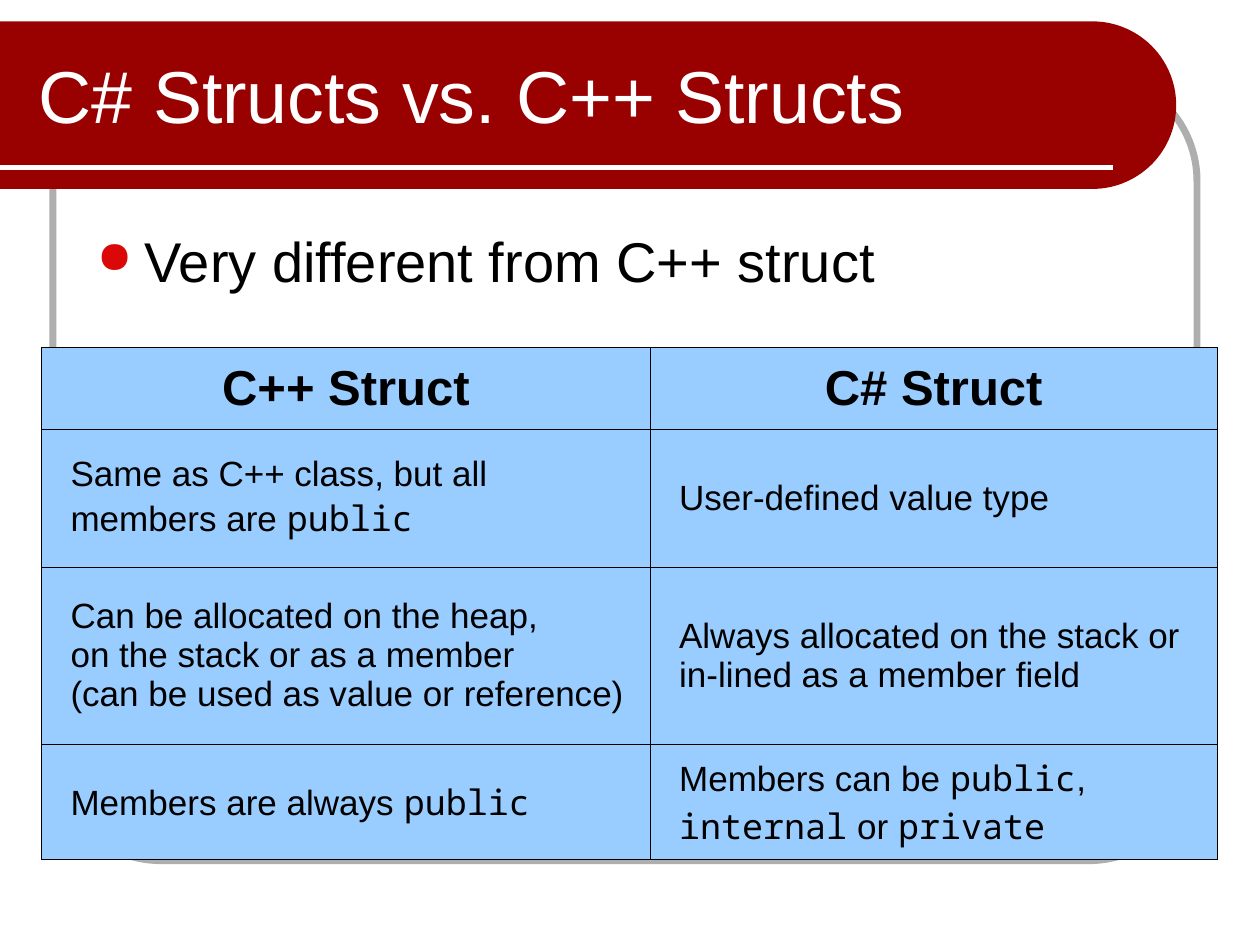
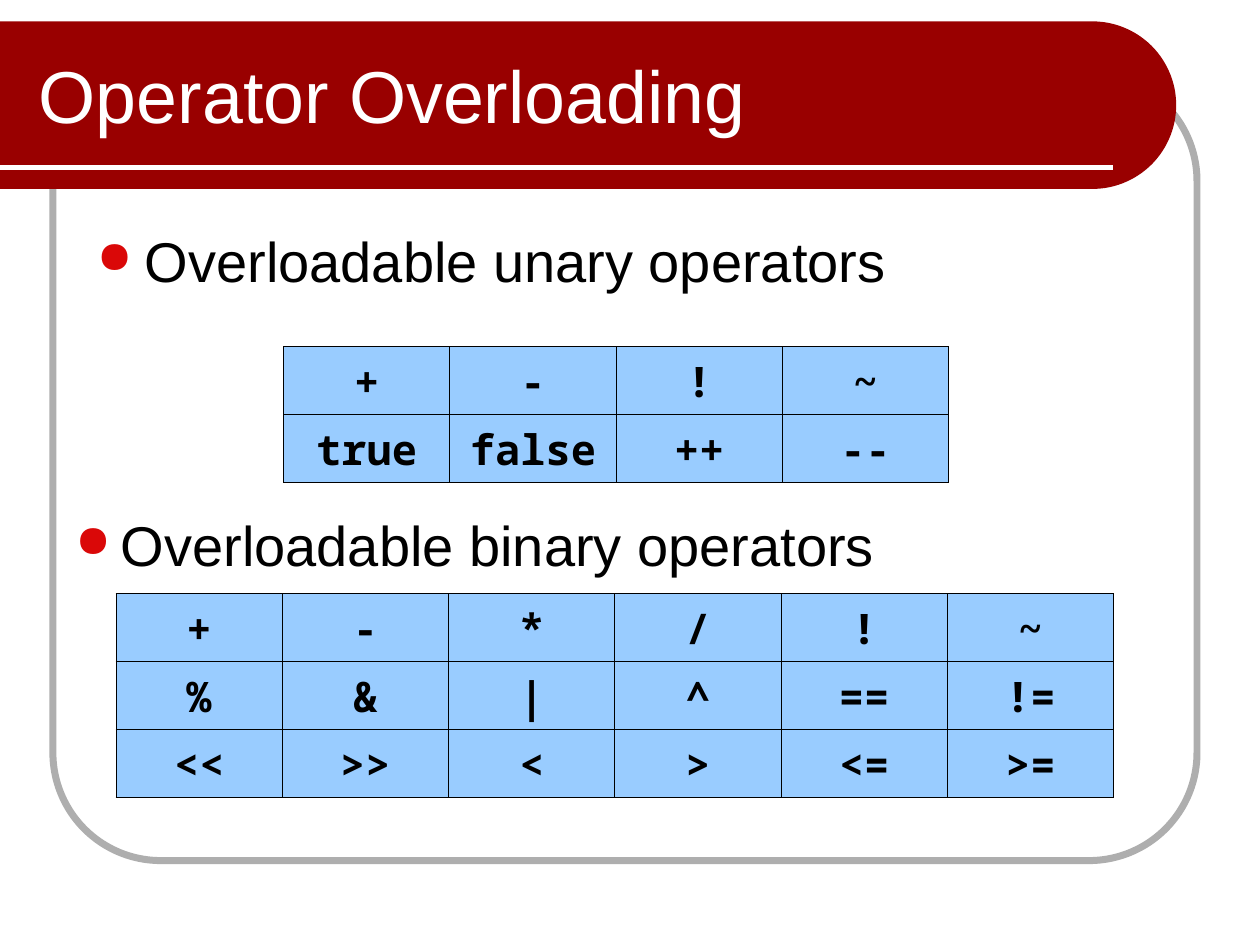
import math
from lxml import etree
from pptx import Presentation, util as u
from pptx.dml.color import RGBColor
from pptx.enum import shapes as es, text as et
from pptx.oxml import ns

HUES = {"band": "990000", "frame": "AEAEAE", "white": "FFFFFF",
        "ink": "000000", "cell": "99CCFF", "dot": "DA0808"}
SANS, MONO = "Arial", "Noto Sans Mono"
IN = u.Inches

# Backticks mark code words.
STRUCTS = [
    ("C++ Struct", "C# Struct"),
    ("Same as C++ class, but all members are `public`",
     "User-defined value type"),
    ("Can be allocated on the heap, \non the stack or as a member \n"
     "(can be used as value or reference)",
     "Always allocated on the stack or \nin-lined as a member field"),
    ("Members are always `public`",
     "Members can be `public`, `internal` or `private`"),
]
UNARY = ["+ - ! ~".split(), "true false ++ --".split()]
BINARY = ["+ - * / ! ~".split(), "% & | ^ == !=".split(),
          "<< >> < > <= >=".split()]

HEAD = dict(size=28, bold=True, center=True, before=7)
BODY = dict(size=20, indent=0.13, before=5)
SIGN = dict(size=24, bold=True, face=MONO, center=True, before=6)
SIDE, STEP = 1.32, 0.54  # operator cell width and height
MAIN = (0.67, 1.75, 8.67, 4.83)

SLIDES = [
    dict(title="C# Structs vs. C++ Structs",
         points=[("Very different from C++ struct", MAIN, 0.38)],
         grids=[dict(rows=STRUCTS, at=(0.33, 2.76), wide=[4.83, 4.5],
                     high=[0.65, 1.09, 1.41, 0.91],
                     looks=[HEAD, BODY, BODY, BODY])]),
    dict(title="Operator Overloading",
         points=[("Overloadable unary operators", MAIN, 0.38),
                 ("Overloadable binary operators", (0.5, 4, 9.25, 2), 0.36)],
         grids=[dict(rows=rows, at=at, wide=[SIDE] * len(rows[0]),
                     high=[STEP] * len(rows), looks=[SIGN] * len(rows))
                for rows, at in ((UNARY, (2.25, 2.75)),
                                 (BINARY, (0.92, 4.71)))]),
]


def hue(name):
    """Return a named colour."""
    return RGBColor.from_string(HUES[name])


def paint(fill, name):
    """Make a fill solid in a named colour."""
    fill.solid()
    fill.fore_color.rgb = hue(name)


def style(para, size, face=SANS, color="ink", bold=False, before=0):
    """Set the font and the space above a paragraph."""
    font = para.font
    font.name, font.size, font.bold = face, u.Pt(size), bold
    font.color.rgb = hue(color)
    para.space_before = u.Pt(before)


def label(slide, words, box, **look):
    """Add a wrapping one-paragraph text box; return its frame."""
    frame = slide.shapes.add_textbox(*map(IN, box)).text_frame
    frame.word_wrap = True
    para = frame.paragraphs[0]
    para.text = words
    style(para, **look)
    return frame


def point(slide, words, box, hang):
    """Add a line of text with a round red bullet."""
    frame = label(slide, words, box, size=32, before=8)
    props = frame.paragraphs[0]._p.get_or_add_pPr()
    props.set("marL", str(IN(hang)))
    props.set("indent", str(-IN(hang)))
    # Bullet marks sit between the spacing and the default font.
    font = props.find(ns.qn("a:defRPr"))
    tone = etree.Element(ns.qn("a:buClr"))
    etree.SubElement(tone, ns.qn("a:srgbClr"), val=HUES["dot"])
    size = etree.Element(ns.qn("a:buSzPct"), val="80000")
    mark = etree.Element(ns.qn("a:buChar"), char="\u25cf")
    for node in (tone, size, mark):
        font.addprevious(node)


def edge(cell):
    """Draw thin black borders round a cell."""
    props = cell._tc.get_or_add_tcPr()
    for spot, side in enumerate(("lnL", "lnR", "lnT", "lnB")):
        line = etree.Element(ns.qn("a:" + side), w=str(u.Pt(0.45)))
        fill = etree.SubElement(line, ns.qn("a:solidFill"))
        etree.SubElement(fill, ns.qn("a:srgbClr"), val=HUES["ink"])
        props.insert(spot, line)


def write(cell, words, center=False, indent=0, **look):
    """Fill a cell with text, setting code words in the mono face."""
    paint(cell.fill, "cell")
    edge(cell)
    cell.vertical_anchor = et.MSO_ANCHOR.MIDDLE
    para = cell.text_frame.paragraphs[0]
    style(para, **look)
    para.alignment = et.PP_ALIGN.CENTER if center else et.PP_ALIGN.LEFT
    para._p.get_or_add_pPr().set("marL", str(IN(indent)))
    for turn, part in enumerate(words.split("`")):
        for row, line in enumerate(part.split("\n")):
            if row:
                para.add_line_break()
            if line:
                run = para.add_run()
                run.text = line
                if turn % 2:
                    run.font.name = MONO


def grid(slide, rows, at, wide, high, looks):
    """Add a table with one text look for each row."""
    size = at + (sum(wide), sum(high))
    table = slide.shapes.add_table(len(rows), len(wide),
                                   *map(IN, size)).table
    table.first_row = table.horz_banding = False
    for col, width in zip(table.columns, wide):
        col.width = IN(width)
    for r, (row, height, look) in enumerate(zip(rows, high, looks)):
        table.rows[r].height = IN(height)
        for c, words in enumerate(row):
            write(table.cell(r, c), words, **look)


def decor(slide):
    """Draw the grey frame, the red band and the white rule."""
    frame = slide.shapes.add_shape(es.MSO_SHAPE.ROUNDED_RECTANGLE,
                                   *map(IN, (0.42, 0.58, 9.08, 6.25)))
    frame.adjustments[0] = 0.137
    frame.shadow.inherit = False
    frame.fill.background()
    frame.line.color.rgb = hue("frame")
    frame.line.width = u.Pt(4)

    top, low, mid = 0.17, 1.5, 8.67
    rad = (low - top) / 2
    turns = [math.radians(a) for a in range(-90, 91, 3)]
    arc = [(IN(mid + rad * math.cos(a)), IN(top + rad + rad * math.sin(a)))
           for a in turns]
    path = slide.shapes.build_freeform(0, IN(top))
    path.add_line_segments(arc + [(0, IN(low))], close=True)
    band = path.convert_to_shape()
    band.shadow.inherit = False
    paint(band.fill, "band")
    band.line.fill.background()

    rule = slide.shapes.add_connector(es.MSO_CONNECTOR.STRAIGHT,
                                      *map(IN, (0, 1.33, 8.83, 1.33)))
    rule.line.color.rgb = hue("white")
    rule.line.width = u.Pt(3)
    etree.SubElement(rule._element.spPr, ns.qn("a:effectLst"))


def build(deck, title, points, grids):
    """Add one slide."""
    slide = deck.slides.add_slide(deck.slide_layouts[6])
    decor(slide)
    head = label(slide, title, (0.21, 0.25, 7.79, 1), size=42, color="white")
    head.vertical_anchor = et.MSO_ANCHOR.MIDDLE
    for item in points:
        point(slide, *item)
    for item in grids:
        grid(slide, **item)


deck = Presentation()
deck.slide_width, deck.slide_height = IN(10), IN(7.5)
for page in SLIDES:
    build(deck, **page)
deck.save("out.pptx")
